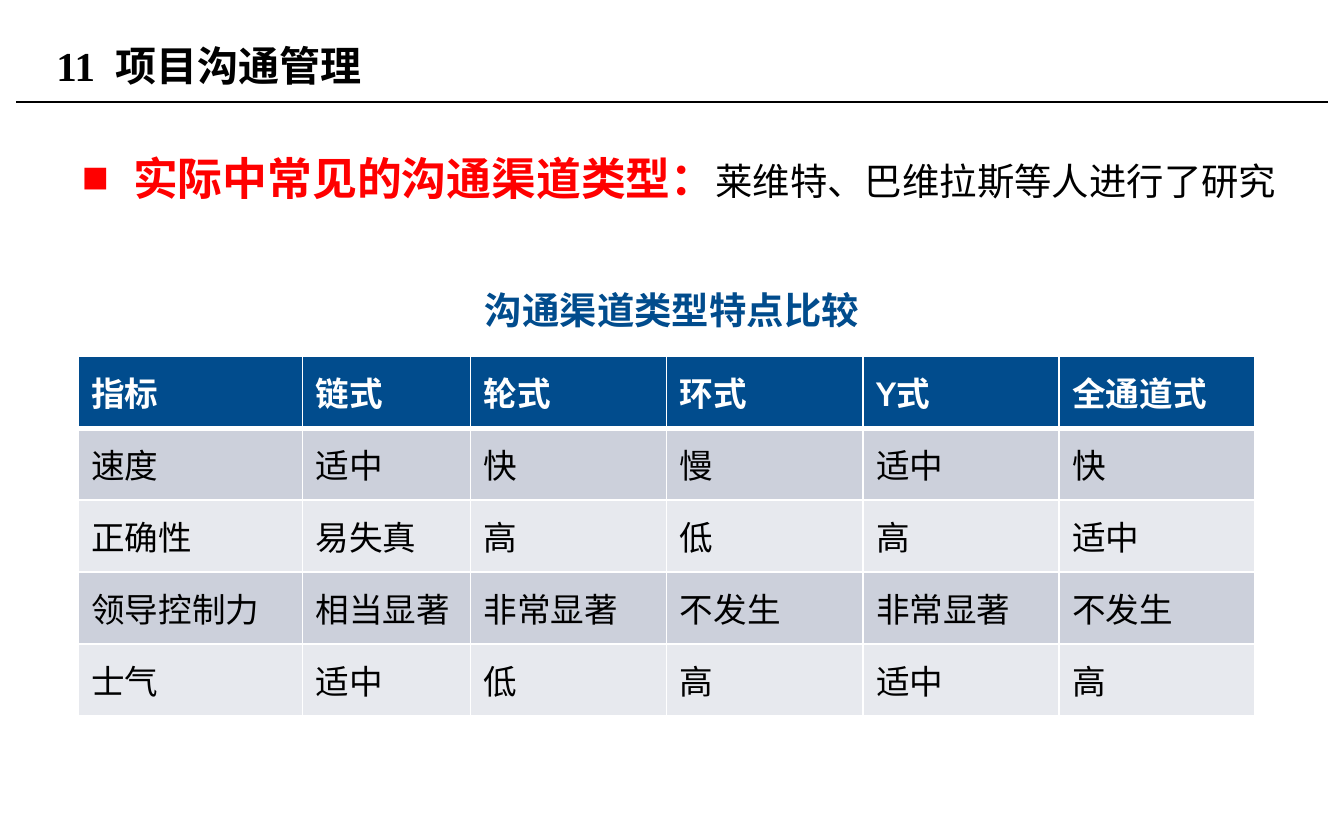
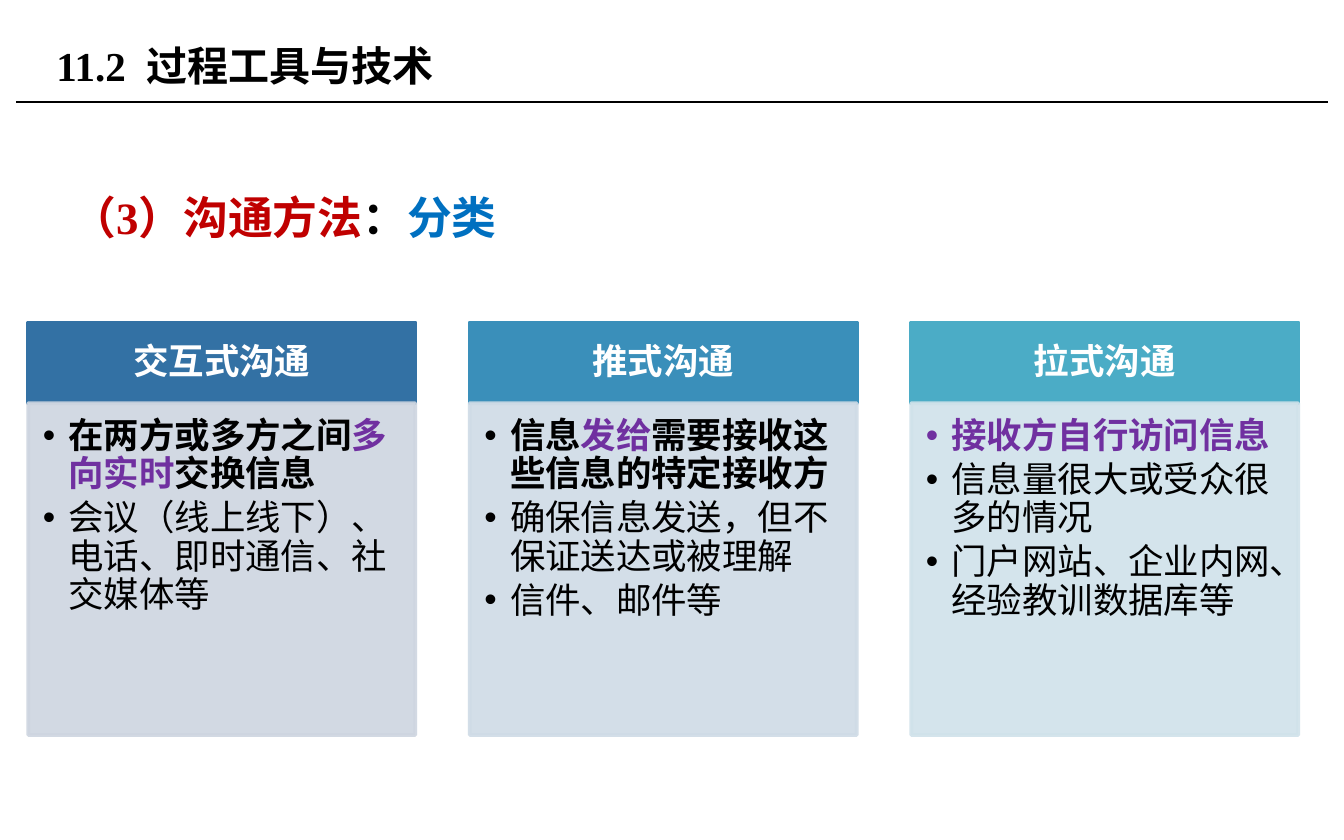
import pptx
import pptx.dml.color
import pptx.enum.shapes
import pptx.enum.text
import pptx.oxml
import pptx.oxml.ns
import pptx.util
from pptx.util import Inches

COLORS = {
    "black": "000000", "white": "FFFFFF", "red": "FF0000", "dark_red": "C00000",
    "blue": "0070C0", "navy": "014C8D", "purple": "7030A0",
    "band_dark": "CCD0DB", "band_light": "E7E9EE",
}
SERIF, SANS, CHINESE = "Times New Roman", "Cabin", "Noto Sans CJK SC"
ANCHOR = pptx.enum.text.MSO_ANCHOR
ALIGN = pptx.enum.text.PP_ALIGN
qn = pptx.oxml.ns.qn
rgb = pptx.dml.color.RGBColor.from_string


def write(para, text, size=19, font=SERIF, color="black", bold=False):
    span = para.add_run()
    span.text = text
    span.font.size = pptx.util.Pt(size)
    span.font.name = font
    span.font.bold = bold
    span.font.color.rgb = rgb(COLORS[color])
    properties = span.font._element
    properties.set("lang", "zh-CN")
    latin = properties.find(qn("a:latin"))
    latin.addnext(properties.makeelement(qn("a:ea"), {"typeface": CHINESE}))


def set_bullet(para, mark, indent):
    """Hang the paragraph behind its mark; a mark of None removes the bullet."""
    properties = para._p.get_or_add_pPr()
    properties.set("marL", str(Inches(indent)))
    properties.set("indent", str(-Inches(indent)))
    if mark is None:
        pptx.oxml.ns.nsdecls("a")
        properties.append(properties.makeelement(qn("a:buNone"), {}))
    else:
        properties.append(properties.makeelement(qn("a:buFont"), {"typeface": "Arial"}))
        properties.append(properties.makeelement(qn("a:buChar"), {"char": mark}))


deck = pptx.Presentation()
deck.slide_width, deck.slide_height = Inches(10), Inches(6.25)

# Shared layout: title position and the rule below it
layout = deck.slide_layouts[1]
layout_title = layout.placeholders[0]
layout_title.left, layout_title.top = Inches(0.32), Inches(0.13)
layout_title.width, layout_title.height = Inches(6.38), Inches(0.71)

# Titles and lead lines
pages = []
for title, lead_place, mark, indent, lead in [
    ("11  项目沟通管理", (0.51, 0.87, 9.29, 3.9), "■", 0.38, [
        ("实际中常见的沟通渠道类型：", dict(size=24, font=CHINESE, color="red", bold=True)),
        ("莱维特、巴维拉斯等人进行了研究", dict(size=20, font=CHINESE)),
    ]),
    ("11.2  过程工具与技术", (0.43, 1.16, 9.21, 3.9), None, 0, [
        ("（3）沟通方法", dict(size=24, color="dark_red", bold=True)),
        ("：", dict(size=24, bold=True)),
        ("分类", dict(size=24, color="blue", bold=True)),
    ]),
]:
    page = deck.slides.add_slide(layout)
    pages.append(page)
    title_frame = page.shapes.title.text_frame
    title_frame.auto_size = pptx.enum.text.MSO_AUTO_SIZE.NONE
    title_frame.vertical_anchor = ANCHOR.MIDDLE
    title_frame.paragraphs[0].alignment = ALIGN.LEFT
    write(title_frame.paragraphs[0], title, size=22, bold=True)

    body = page.placeholders[1]
    body.left, body.top, body.width, body.height = map(Inches, lead_place)
    body.text_frame.auto_size = pptx.enum.text.MSO_AUTO_SIZE.NONE
    para = body.text_frame.paragraphs[0]
    para.line_spacing = 1.5
    para.space_before = pptx.util.Pt(0)
    set_bullet(para, mark, indent)
    for text, style in lead:
        write(para, text, **style)

table_page, methods_page = pages

rule = table_page.shapes.add_connector(
    pptx.enum.shapes.MSO_CONNECTOR.STRAIGHT,
    Inches(0.12), Inches(0.76), Inches(9.88), Inches(0.76))
rule.line.color.rgb = rgb(COLORS["black"])
rule.line.width = pptx.util.Pt(0.75)
rule_properties = rule._element.spPr
rule_properties.append(rule_properties.makeelement(qn("a:effectLst"), {}))
layout.shapes.element.append(rule._element)

# Slide 1: comparison table
caption = table_page.shapes.add_textbox(Inches(3.51), Inches(2.09), Inches(5), Inches(0.44))
caption.text_frame.word_wrap = True
write(caption.text_frame.paragraphs[0], "沟通渠道类型特点比较", size=20, color="navy", bold=True)

channel_rows = [
    ["指标", "链式", "轮式", "环式", "Y式", "全通道式"],
    ["速度", "适中", "快", "慢", "适中", "快"],
    ["正确性", "易失真", "高", "低", "高", "适中"],
    ["领导控制力", "相当显著", "非常显著", "不发生", "非常显著", "不发生"],
    ["士气", "适中", "低", "高", "适中", "高"],
]
column_widths = [1.67, 1.25] + [1.46] * 4
table = table_page.shapes.add_table(
    len(channel_rows), len(column_widths),
    Inches(0.58), Inches(2.65), Inches(8.75), Inches(2.68)).table
for column, width in zip(table.columns, column_widths):
    column.width = Inches(width)
for row_index, row in enumerate(channel_rows):
    is_header = row_index == 0
    band = "navy" if is_header else "band_dark" if row_index % 2 else "band_light"
    for column_index, text in enumerate(row):
        cell = table.cell(row_index, column_index)
        cell.vertical_anchor = ANCHOR.MIDDLE
        cell_properties = cell._tc.get_or_add_tcPr()
        for side in "LRTB":
            thick = (side == "B" and is_header) or (side == "T" and row_index == 1)
            cell_properties.append(pptx.oxml.parse_xml(
                f'<a:ln{side} {pptx.oxml.ns.nsdecls("a")} w="{pptx.util.Pt(3 if thick else 1)}">'
                f'<a:solidFill><a:srgbClr val="{COLORS["white"]}"/></a:solidFill></a:ln{side}>'))
        cell.fill.solid()
        cell.fill.fore_color.rgb = rgb(COLORS[band])
        write(cell.text_frame.paragraphs[0], text, size=18, font=SANS,
              color="white" if is_header else "black", bold=is_header)

# Slide 2: three method cards
strong = dict(bold=True)
accent = dict(color="purple", bold=True)
methods = [
    ("交互式沟通", "3371A4", "CED5E0", [
        [("在两方或多方之间", strong), ("多向实时", accent), ("交换信息", strong)],
        [("会议（线上线下）、电话、即时通信、社交媒体等", {})],
    ]),
    ("推式沟通", "3A8FBA", "CFDBE6", [
        [("信息", strong), ("发给", accent), ("需要接收这些信息的特定接收方", strong)],
        [("确保信息发送，但不保证送达或被理解", dict(font=SANS))],
        [("信件、邮件等", {})],
    ]),
    ("拉式沟通", "4BACC6", "D0E2EA", [
        [("接收方自行访问信息", dict(font=SANS, **accent))],
        [("信息量很大或受众很多的情况", {})],
        [("门户网站、企业内网、经验教训数据库等", {})],
    ]),
]
for index, (name, head_color, body_color, points) in enumerate(methods):
    left = 0.21 + index * 3.285
    boxes = []
    for top, height, color, margins in [
        (2.4, 0.6, head_color, (0.15, 0.08, 0.15, 0.08)),
        (3, 2.47, body_color, (0.11, 0.11, 0.15, 0.17)),
    ]:
        box = methods_page.shapes.add_shape(
            pptx.enum.shapes.MSO_SHAPE.RECTANGLE,
            Inches(left), Inches(top), Inches(2.88), Inches(height))
        box.shadow.inherit = False
        box.fill.solid()
        box.fill.fore_color.rgb = rgb(color)
        box.line.color.rgb = rgb(color)
        box.line.width = pptx.util.Pt(2)
        frame = box.text_frame
        frame.word_wrap = True
        frame.margin_left, frame.margin_top, frame.margin_right, frame.margin_bottom = map(
            Inches, margins)
        boxes.append(box)
    head, card = boxes

    head.text_frame.vertical_anchor = ANCHOR.MIDDLE
    para = head.text_frame.paragraphs[0]
    para.alignment = ALIGN.CENTER
    para.line_spacing = 0.9
    write(para, name, color="white", bold=True)

    for tint in card._element.spPr.iter(qn("a:srgbClr")):
        tint.append(tint.makeelement(qn("a:alpha"), {"val": "90000"}))
    card.text_frame.vertical_anchor = ANCHOR.TOP
    for number, point in enumerate(points):
        para = card.text_frame.add_paragraph() if number else card.text_frame.paragraphs[0]
        para.alignment = ALIGN.LEFT
        para.line_spacing = 0.9
        para.space_after = pptx.util.Pt(3)
        set_bullet(para, "•", 0.19)
        for text, style in point:
            write(para, text, **style)

deck.save("out.pptx")
